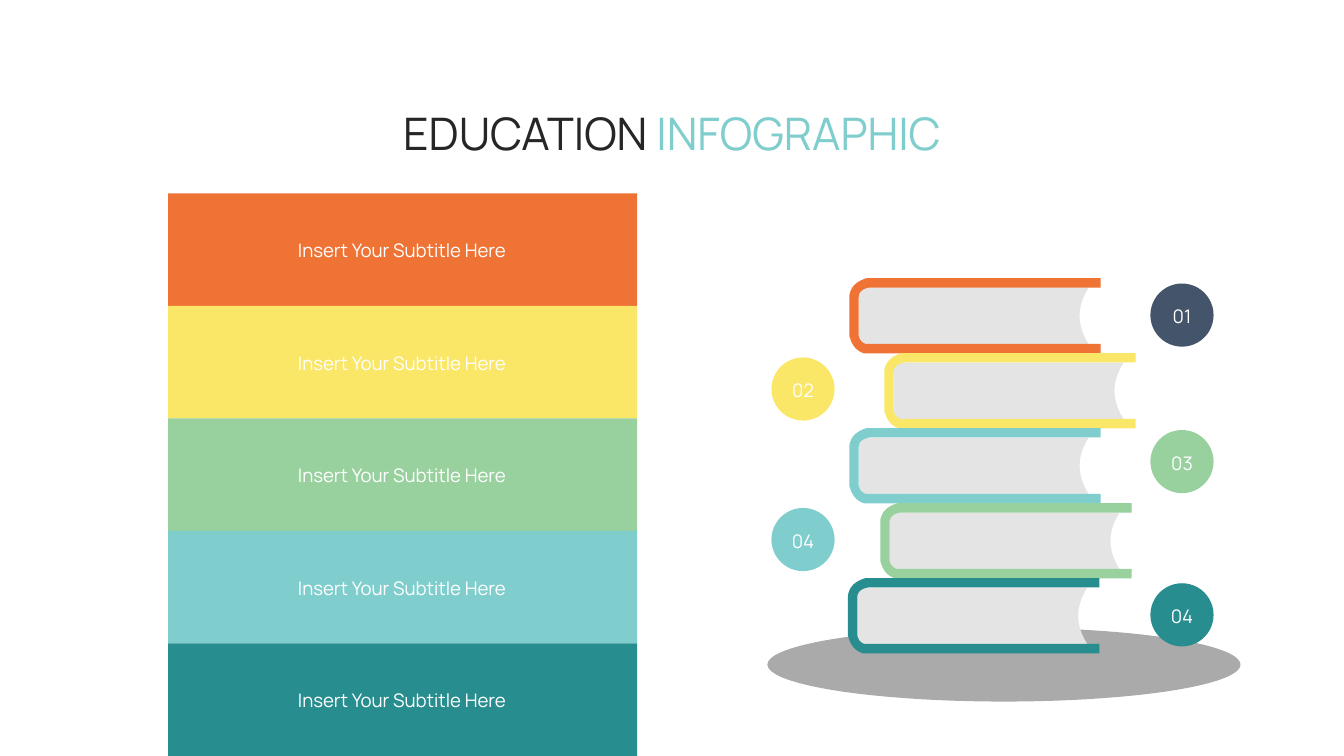
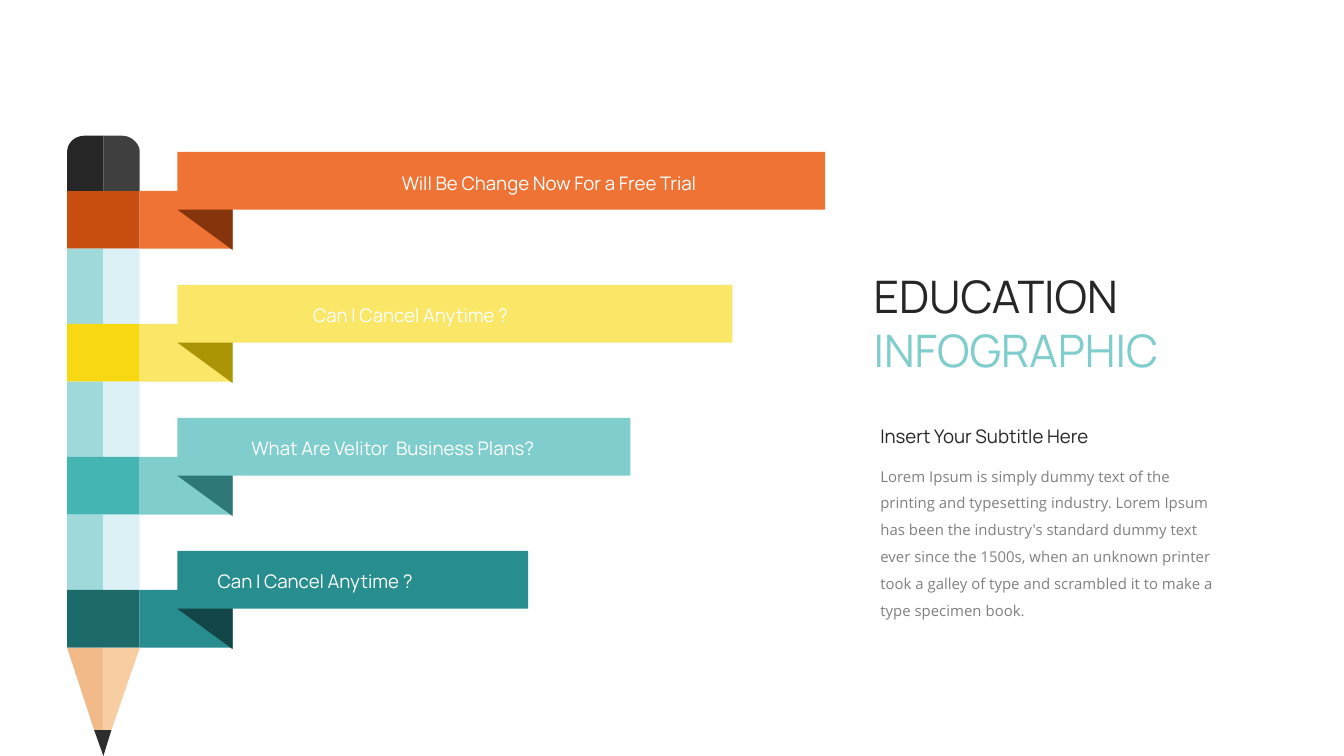
"""Build two education infographic slides: a stack of books and a ribboned pencil."""
import pptx
import pptx.dml.color
import pptx.enum.shapes
import pptx.enum.text
import pptx.util

Inches = pptx.util.Inches
MSO_SHAPE = pptx.enum.shapes.MSO_SHAPE
PP_ALIGN = pptx.enum.text.PP_ALIGN

WIDTH = 10
HEIGHT = WIDTH * 9 / 16
HEAD_FONT, BODY_FONT = "Manrope", "Open Sans"
COLORS = {
    "orange": "EE7335", "yellow": "FAE667", "green": "98D09E", "aqua": "7FCECD", "teal": "278D8E",
    "navy": "44546A", "ink": "262626", "white": "FFFFFF", "body": "808080",
    "page": "E4E4E4", "ground": "AAAAAA",
    "orange band": "C94F11", "yellow band": "F7D812", "aqua band": "45B5B3", "teal band": "1D6A6B",
    "orange fold": "86340B", "yellow fold": "AB9406", "aqua fold": "2E7877", "teal fold": "134647",
    "barrel left": "9FD9DA", "barrel right": "DCF1F5", "wood left": "F1BA88", "wood right": "F8CDA2",
    "cap right": "404040", "lead": "2D2D2D",
}
TITLE = [("EDUCATION", "ink"), ("INFOGRAPHIC", "aqua")]
SUBTITLE = "Insert Your Subtitle Here"
BODY = ("Lorem Ipsum is simply dummy text of the printing and typesetting industry. "
        "Lorem Ipsum has been the industry's standard dummy text ever since the 1500s, "
        "when an unknown printer took a galley of type and scrambled it to make a type specimen book.")

PANELS = ["orange", "yellow", "green", "aqua", "teal"]
PANEL_TOP = 1.44
BOOKS = [(6.32, "orange"), (6.58, "yellow"), (6.32, "aqua"), (6.55, "green"), (6.31, "teal")]
BOOKS_TOP, BOOKS_BOTTOM = 2.07, 4.86
BADGES = [("01", 8.56, 2.11, "navy"), ("02", 5.74, 2.66, "yellow"), ("03", 8.56, 3.2, "green"),
          ("04", 5.74, 3.78, "aqua"), ("04", 8.56, 4.34, "teal")]
PAGES = [(1.78, 0.07), (0.15, 0.07), (0.09, 0.08, 0.07, 0.11, 0.07, 0.14), (0.07, 0.43),
         (0.08, 0.47, 0.1, 0.49, 0.12, 0.49), (1.78, 0.49), (1.69, 0.35, 1.69, 0.21, 1.78, 0.07)]
COVER = [(0.15, 0.07), (1.87, 0.07), (1.87, 0), (0.13, 0), (0.06, 0.02, 0.01, 0.06, 0, 0.13),
         (0, 0.43), (0.02, 0.5, 0.05, 0.54, 0.11, 0.56), (1.87, 0.56), (1.87, 0.49), (0.12, 0.49),
         (0.1, 0.48, 0.08, 0.47, 0.07, 0.43), (0.07, 0.14), (0.07, 0.11, 0.09, 0.08, 0.15, 0.07)]

RIBBONS = [("Will Be Change Now For a Free Trial", "orange", 4.82, 2.94, 3.15, 0.1),
           ("Can I Cancel Anytime ?", "yellow", 4.13, 2.28, 2.5, 0.09),
           ("What Are Velitor  Business Plans?", "aqua", 3.37, 1.82, 3.25, 0.09),
           ("Can I Cancel Anytime ?", "teal", 2.61, 1.57, 2.5, 0.09)]
RIBBON_TOP, RIBBON_STEP, RIBBON_H, DROP = 1.13, 0.99, 0.43, 0.29
PENCIL_X, PENCIL_W, FLAG_X, FOLD_X = 0.5, 0.54, 1.32, 1.73
PENCIL_PARTS = [
    ("lead", [(0.33, 5.43), (0.31, 5.43, 0.22, 5.43, 0.2, 5.43), (0.27, HEIGHT)]),
    ("wood left", [(0.27, 4.82), (0, 4.82), (0.2, 5.43), (0.27, 5.43)]),
    ("wood right", [(0.33, 5.43), (0.54, 4.82), (0.27, 4.82), (0.27, 5.43)]),
    ("cap right", [(0.41, 1.01), (0.27, 1.01), (0.27, 1.42), (0.54, 1.42), (0.54, 1.13),
                   (0.54, 1.07, 0.48, 1.01, 0.41, 1.01)]),
    ("ink", [(0.27, 1.01), (0.13, 1.01), (0.05, 1.01, 0, 1.07, 0, 1.13), (0, 1.42), (0.27, 1.42)]),
]


def rgb(color):
    return pptx.dml.color.RGBColor.from_string(COLORS[color])


def paint(sp, color):
    sp.shadow.inherit = False
    sp.fill.solid()
    sp.fill.fore_color.rgb = rgb(color)
    sp.line.fill.background()


def add_block(shapes, box, color, kind=MSO_SHAPE.RECTANGLE):
    paint(shapes.add_shape(kind, *map(Inches, box)), color)


def curve(start, c, steps=10):
    for i in range(1, steps + 1):
        t = i / steps
        u = 1 - t
        yield tuple(u**3 * start[k] + 3 * u * u * t * c[k] + 3 * u * t * t * c[k + 2] + t**3 * c[k + 4]
                    for k in (0, 1))


def add_outline(shapes, x, y, steps, color):
    points = [steps[0]]
    for step in steps[1:]:
        points.extend([step] if len(step) == 2 else curve(points[-1], step))
    points = [(Inches(x + px), Inches(y + py)) for px, py in points]
    builder = shapes.build_freeform(*points[0], scale=1)
    builder.add_line_segments(points[1:], close=True)
    paint(builder.convert_to_shape(), color)


def add_text(shapes, box, paragraphs, size=10, font=HEAD_FONT, align=PP_ALIGN.LEFT, spacing=None):
    tf = shapes.add_textbox(*map(Inches, box)).text_frame
    tf.word_wrap = True
    tf.auto_size = pptx.enum.text.MSO_AUTO_SIZE.SHAPE_TO_FIT_TEXT
    tf.margin_left = tf.margin_right = tf.margin_top = tf.margin_bottom = Inches(0.05)
    for i, runs in enumerate(paragraphs):
        p = tf.paragraphs[0] if i == 0 else tf.add_paragraph()
        p.alignment = align
        if spacing:
            p.line_spacing = spacing
        for text, color in runs:
            r = p.add_run()
            r.text = text
            r.font.size = pptx.util.Pt(size)
            r.font.name = font
            r.font.color.rgb = rgb(color)


def add_books_slide(prs):
    s = prs.slides.add_slide(prs.slide_layouts[6])
    (first, ink), second = TITLE
    add_text(s.shapes, (2.39, 0.74, 5.22, 0.5), [[(first + " ", ink), second]], 24, align=PP_ALIGN.CENTER)

    panel_h = (HEIGHT - PANEL_TOP) / len(PANELS)
    for i, color in enumerate(PANELS):
        y = PANEL_TOP + i * panel_h
        add_block(s.shapes, (1.25, y, 3.49, panel_h), color)
        add_text(s.shapes, (1.63, y + 0.29, 2.72, 0.27), [[(SUBTITLE, "white")]], align=PP_ALIGN.CENTER)

    stack = s.shapes.add_group_shape().shapes
    add_block(stack, (5.71, 4.67, 3.52, 0.55), "ground", MSO_SHAPE.OVAL)
    step = (BOOKS_BOTTOM - BOOKS_TOP) / len(BOOKS)
    for i, (x, color) in enumerate(BOOKS):
        add_outline(stack, x, BOOKS_TOP + i * step, PAGES, "page")
        add_outline(stack, x, BOOKS_TOP + i * step, COVER, color)
    for number, x, y, color in BADGES:
        add_block(stack, (x, y, 0.47, 0.47), color, MSO_SHAPE.OVAL)
        add_text(stack, (x + 0.05, y + 0.11, 0.37, 0.27), [[(number, "white")]], align=PP_ALIGN.CENTER)


def add_pencil_slide(prs):
    s = prs.slides.add_slide(prs.slide_layouts[6])
    add_text(s.shapes, (6.45, 1.95, 5.22, 0.91), [[run] for run in TITLE], 24)
    add_text(s.shapes, (6.5, 3.11, 3.55, 0.27), [[(SUBTITLE, "ink")]])
    add_text(s.shapes, (6.5, 3.36, 2.59, 1.28), [[(BODY, "body")]], 8, BODY_FONT, spacing=1.5)

    pencil = s.shapes.add_group_shape().shapes
    half = PENCIL_W / 2
    sleeve_x = PENCIL_X + PENCIL_W
    for i, (label, color, width, text_x, text_w, text_dy) in enumerate(RIBBONS):
        y = RIBBON_TOP + i * RIBBON_STEP
        ribbon = s.shapes.add_group_shape().shapes
        add_block(ribbon, (sleeve_x, y + DROP, FOLD_X - sleeve_x, RIBBON_H), color)
        add_block(ribbon, (FLAG_X, y, width, RIBBON_H), color)
        fold = FOLD_X - FLAG_X
        add_outline(ribbon, FLAG_X, y + RIBBON_H, [(fold, 0.3), (0, 0), (fold, 0)], color + " fold")
        add_text(ribbon, (text_x, y + text_dy, text_w, 0.27), [[(label, "white")]])

        add_block(pencil, (PENCIL_X, y + DROP, PENCIL_W, RIBBON_H), color + " band")
        if i < len(RIBBONS) - 1:
            for k, side in enumerate(("barrel left", "barrel right")):
                add_block(pencil, (PENCIL_X + k * half, y + DROP + RIBBON_H, half, RIBBON_STEP - RIBBON_H), side)
    for color, steps in PENCIL_PARTS:
        add_outline(pencil, PENCIL_X, 0, steps, color)


def main():
    prs = pptx.Presentation()
    prs.slide_width, prs.slide_height = Inches(WIDTH), Inches(HEIGHT)
    add_books_slide(prs)
    add_pencil_slide(prs)
    prs.save("out.pptx")


if __name__ == "__main__":
    main()
